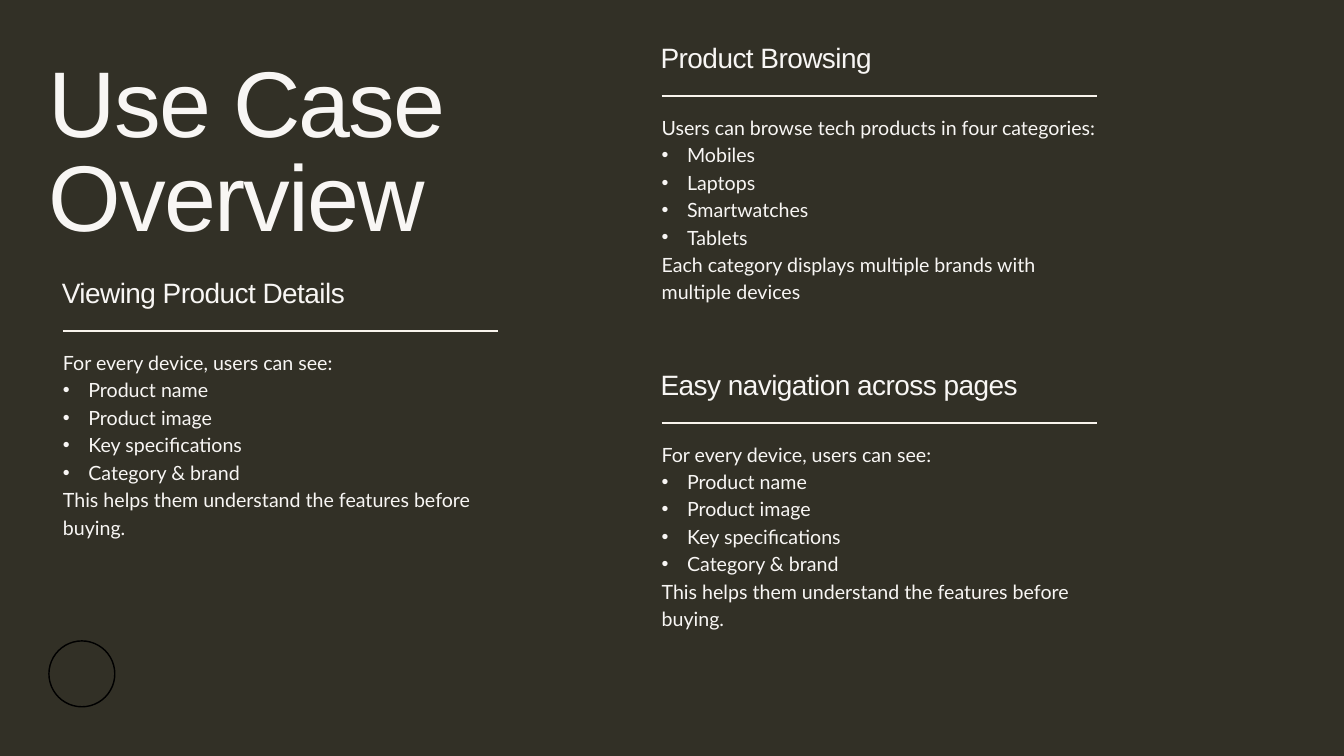
from lxml.etree import SubElement
from pptx import Presentation
from pptx.dml.color import RGBColor as RGB
from pptx.enum.shapes import MSO_CONNECTOR as Link, MSO_SHAPE as Shape
from pptx.enum.text import MSO_ANCHOR as Anchor, MSO_AUTO_SIZE as Fit, PP_ALIGN as Align
from pptx.oxml.ns import qn
from pptx.util import Cm, Pt


class Theme:
    back = RGB(0x32, 0x30, 0x26)
    text = RGB(0xF8, 0xF6, 0xF4)
    rule = RGB(0xF9, 0xF4, 0xED)
    ring = RGB(0, 0, 0)
    # font, size, line spacing, letter spacing in points
    title = ("Arial", 100, 100, -2)
    head = ("Arial", 30, 30, -0.6)
    body = ("Lato", 21, 29.4, 0)


def write(shape, lines, style):
    """Fill the shape with lines; a line that starts with • becomes a bullet."""
    face, size, lead, track = style
    frame = shape.text_frame
    frame.word_wrap = True
    frame.auto_size = Fit.NONE
    frame.vertical_anchor = Anchor.TOP
    frame.margin_left = frame.margin_right = 0
    frame.margin_top = frame.margin_bottom = 0
    frame.text = "\n".join(line.removeprefix("•") for line in lines)
    for par, line in zip(frame.paragraphs, lines):
        par.alignment = Align.LEFT
        par.line_spacing = Pt(lead)
        par.space_before = Pt(0)
        props = par._p.get_or_add_pPr()
        if line.startswith("•"):
            props.set("marL", str(Cm(0.96)))
            props.set("indent", str(-Cm(0.96)))
            SubElement(props, qn("a:buFont")).set("typeface", "Arial")
            SubElement(props, qn("a:buChar")).set("char", "•")
        font = par.font
        font.name, font.size = face, Pt(size)
        font.color.rgb = Theme.text
        if track:
            props.get_or_add_defRPr().set("spc", str(round(track * 100)))


deck = Presentation()
deck.slide_width, deck.slide_height = Cm(50.8), Cm(28.58)
slide = deck.slides.add_slide(deck.slide_layouts[5])
fill = slide.background.fill
fill.solid()
fill.fore_color.rgb = Theme.back

title = slide.shapes.title
title.left, title.top = Cm(1.85), Cm(2.39)
title.width, title.height = Cm(23.11), Cm(7.21)
write(title, ["Use Case Overview"], Theme.title)

browse = [
    "Users can browse tech products in four categories:",
    "•Mobiles", "•Laptops", "•Smartwatches", "•Tablets",
    "Each category displays multiple brands with multiple devices",
]
detail = [
    "For every device, users can see:",
    "•Product name", "•Product image", "•Key specifications", "•Category & brand",
    "This helps them understand the features before buying.",
]
cards = [
    (24.97, 1.75, 8.38, "Product Browsing", browse),
    (2.34, 10.64, 7.34, "Viewing Product Details", detail),
    (24.97, 14.1, 7.34, "Easy navigation across pages", detail),
]
for x, y, tall, name, lines in cards:
    card = slide.shapes.add_group_shape().shapes
    head = card.add_textbox(Cm(x), Cm(y), Cm(16.51), Cm(1.07))
    write(head, [name], Theme.head)
    left = x + 0.04
    body = card.add_textbox(Cm(left), Cm(y + 2.48), Cm(16.46), Cm(tall))
    write(body, lines, Theme.body)
    level = Cm(y + 1.88)
    rule = card.add_connector(Link.STRAIGHT, Cm(left), level, Cm(left + 16.46), level)
    rule.line.color.rgb = Theme.rule
    rule.line.width = Pt(2)
    SubElement(rule._element.spPr, qn("a:effectLst"))

ring = slide.shapes.add_shape(Shape.OVAL, Cm(1.85), Cm(24.23), Cm(2.49), Cm(2.49))
ring.shadow.inherit = False
ring.fill.background()
ring.line.color.rgb = Theme.ring
ring.line.width = Pt(1.5)

deck.save("out.pptx")
